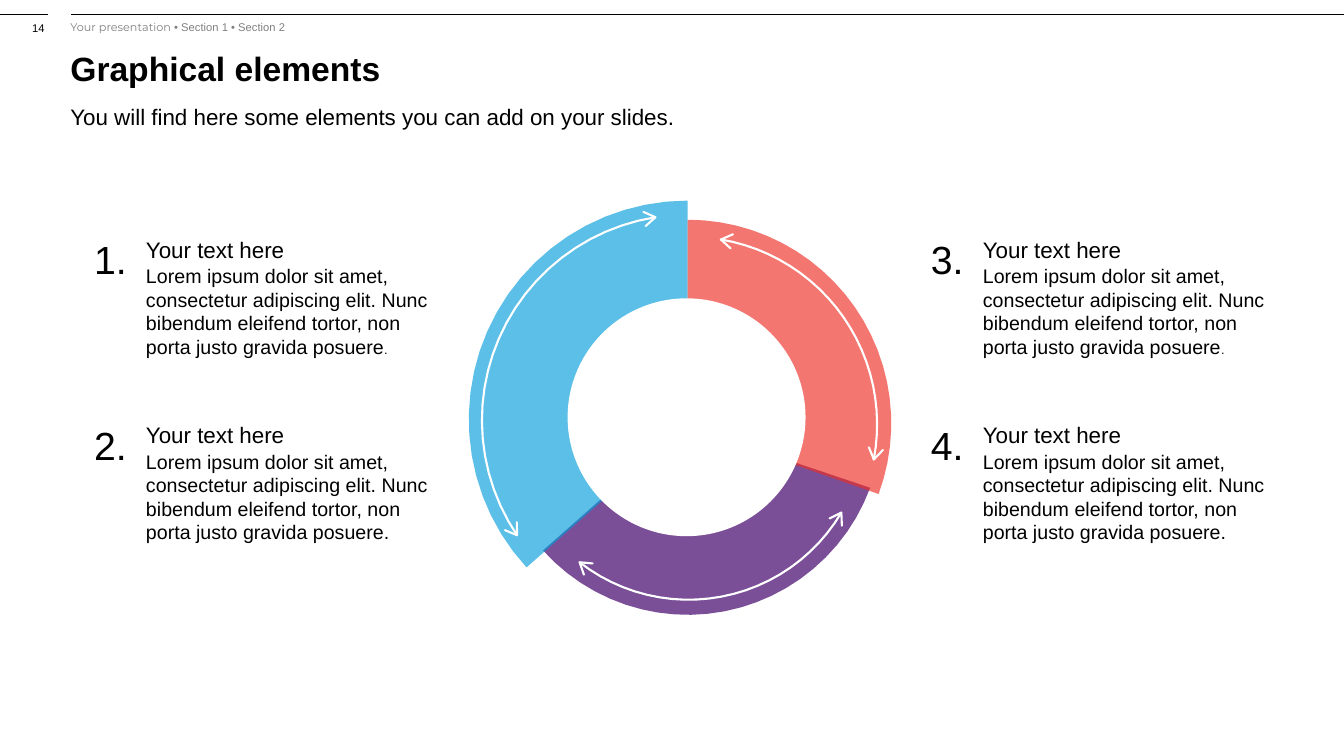
from math import cos, radians, sin

from lxml import etree
from pptx import Presentation
from pptx.dml.color import RGBColor
from pptx.enum.shapes import MSO_CONNECTOR, MSO_SHAPE
from pptx.enum.text import PP_ALIGN
from pptx.oxml.ns import qn
from pptx.util import Inches, Pt

LEFT, MID, RIGHT = PP_ALIGN.LEFT, PP_ALIGN.CENTER, PP_ALIGN.RIGHT
LINE, OVAL = MSO_CONNECTOR.STRAIGHT, MSO_SHAPE.OVAL
WIDE, HIGH = 13.33, 7.5
BLACK, GREY, WHITE = "000000", "808080", "FFFFFF"
FACE = "Arial"
LOREM = ("Lorem ipsum dolor sit amet, consectetur adipiscing elit. Nunc "
         "bibendum eleifend tortor, non porta justo gravida posuere")

# Ring lengths count steps of a grid that splits its box into 434 columns.
STEPS = 434
HOLE, HEAD = 118, 13
SLICES = [
    ("5A237E", 80, (0, 2), 193, (20.3, 138), (-3, 7)),
    ("009BDA", 64, (0, 1), 217, (137.4, 270), (0, 7)),
    ("EE2E24", 65, (0, 5), 202, (270, 380.3), (0, 9)),
]
ARROWS = [
    ((1, 4), 176, (30.6, 127.9)),
    ((0, 2), 204, (146, 261)),
    ((2, 6), 186, (279.6, 370.8)),
]


def paint(color, part):
    """Give a fill, line or font colour format a solid hex colour."""
    if hasattr(part, "solid"):
        part.solid()
        part = part.fore_color
    part.rgb = RGBColor.from_string(color)


def write(slide, box, runs, size, color=BLACK, align=LEFT, bold=False, space=1.0):
    """Place a text box; each run is a text with its own font and size or None."""
    frame = slide.shapes.add_textbox(*map(Inches, box)).text_frame
    frame.word_wrap = True
    par = frame.paragraphs[0]
    par.alignment, par.line_spacing = align, space
    for text, face, own in runs:
        run = par.add_run()
        run.text = text
        run.font.name, run.font.size = face, Pt(own or size)
        run.font.bold = bold
        paint(color, run.font.color)


def rule(slide, start, end, y):
    """Draw one thin level line."""
    line = slide.shapes.add_connector(LINE, *map(Inches, (start, y, end, y)))
    paint(BLACK, line.line.fill)
    line.line.width = Pt(.75)
    etree.SubElement(line._element.spPr, qn("a:effectLst"))


def header(slide, box):
    """Draw the top rules, page number, trail, title and subtitle."""
    x, y, w, h = box
    rule(slide, x + w, x + .7, y + .14)
    rule(slide, x + .48, x, y + .14)
    write(slide, (x + .13, y + .16, .41, .23), [("14", FACE, None)], 8, align=RIGHT)
    write(slide, (x + .6, y + .47, w - .9, .52),
          [("Graphical elements", FACE, None)], 24, bold=True, space=.9)
    trail = [("Your presentation ", "Montserrat", None),
             ("• Section 1 • Section 2", FACE, None)]
    write(slide, (x + .6, y + .17, .4 * w, .25), trail, 8, GREY, space=.9)
    write(slide, (x + .6, y + 1, w - .9, .36),
          [("You will find here some elements you can add on your slides.",
            FACE, None)], 16, space=.9)


def item(slide, box, label, dot):
    """Place a number, a heading and its body text; dot sizes the full stop."""
    x, y, w, h = box
    body = [(LOREM, FACE, None), (".", FACE, dot)] if dot else [(LOREM + ".", FACE, None)]
    write(slide, (x + .52, y + .28, w - .52, h - .28), body, 14)
    write(slide, (x + .52, y, w - .52, .36), [("Your text here", FACE, None)], 16)
    write(slide, (x, y, .53, .56), [(label, FACE, None)], 28, align=MID)


def polar(mid, size, angle):
    """Return the point at an angle on a circle."""
    turn = radians(angle)
    return mid[0] + size * cos(turn), mid[1] + size * sin(turn)


def arc(mid, size, span, parts=24):
    """Return evenly spaced points along an arc."""
    first, last = span
    return [polar(mid, size, first + (last - first) * i / parts)
            for i in range(parts + 1)]


def trace(slide, points, close):
    """Build an outline through points given in inches."""
    spots = [(Inches(x), Inches(y)) for x, y in points]
    pen = slide.shapes.build_freeform(*spots[0])
    pen.add_line_segments(spots[1:], close=close)
    shape = pen.convert_to_shape()
    shape.shadow.inherit = False
    return shape


def stroke(slide, points):
    """Draw an open white line with round ends and corners."""
    shape = trace(slide, points, False)
    shape.fill.background()
    paint(WHITE, shape.line.fill)
    shape.line.width = Pt(1.5)
    edge = shape.line._get_or_add_ln()
    edge.set("cap", "rnd")
    etree.SubElement(edge, qn("a:round"))


def arrow(slide, mid, size, span, head):
    """Draw a curved arrow with an open head at both ends."""
    curve = arc(mid, size, span)
    stroke(slide, curve)
    for tip, back in ((curve[0], span[0] + 90), (curve[-1], span[1] - 90)):
        stroke(slide, [polar(tip, head, back - 33), tip, polar(tip, head, back + 33)])


def ring(slide, box):
    """Draw the three slices, their arrows and the hole in a square box."""
    x, y, w, h = box
    unit = w / STEPS

    def spot(step):
        """Turn grid steps from the centre into a point in inches."""
        return x + w / 2 + unit * step[0], y + h / 2 + unit * step[1]

    for color, alpha, mid, size, span, hub in SLICES:
        shape = trace(slide, [spot(hub), *arc(spot(mid), unit * size, span)], True)
        paint(color, shape.fill)
        tint = shape._element.spPr.find(qn("a:solidFill"))[0]
        etree.SubElement(tint, qn("a:alpha"), val=str(alpha * 1000))
        shape.line.fill.background()
    for mid, size, span in ARROWS:
        arrow(slide, spot(mid), unit * size, span, unit * HEAD)
    left, top = spot((-1 - HOLE, -1 - HOLE))
    side = 2 * HOLE * unit
    hole = slide.shapes.add_shape(OVAL, *map(Inches, (left, top, side, side)))
    hole.shadow.inherit = False
    paint(WHITE, hole.fill)
    hole.line.fill.background()


def main():
    """Build and save the slide."""
    deck = Presentation()
    deck.slide_width, deck.slide_height = Inches(WIDE), Inches(HIGH)
    slide = deck.slides.add_slide(deck.slide_layouts[6])
    header(slide, (0, 0, WIDE, 1.4))
    ring(slide, (4.65, 1.98, 4.34, 4.34))
    for i in range(4):
        col, row = divmod(i, 2)
        box = (.83 + 8.3 * col, 2.29 + 1.84 * row, 3.68, 1.31)
        item(slide, box, f"{i + 1}.", None if row else 9)
    deck.save("out.pptx")


if __name__ == "__main__":
    main()
